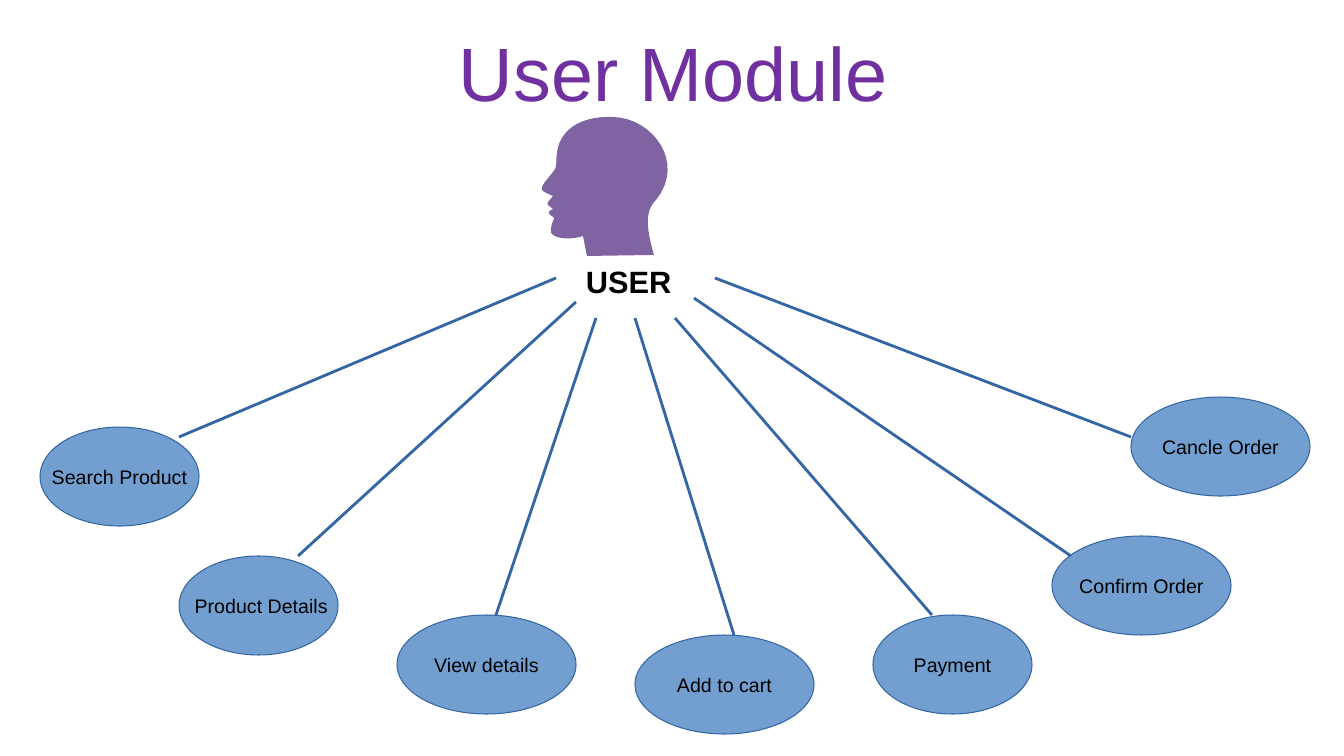
"""Build the User Module slide: a user and the seven actions around it."""
from dataclasses import dataclass

from lxml.etree import SubElement
from pptx import Presentation
from pptx.dml.color import RGBColor as Rgb
from pptx.enum.shapes import MSO_CONNECTOR as Link, MSO_SHAPE as Kind
from pptx.enum.text import MSO_ANCHOR as Anchor, PP_ALIGN as Align
from pptx.oxml.ns import qn
from pptx.util import Emu, Pt

TITLE = ("User Module", (35, 37, 1276, 80))
USER = ("USER", (576, 258, 178, 44))

ACTIONS = [
    ("Search Product", (40, 427, 159), (556, 278), (179, 437)),
    (" Product Details", (179, 556, 159), (576, 302), (298, 556)),
    ("View details", (397, 615, 179), (596, 318), (496, 615)),
    ("Add to cart", (635, 635, 179), (635, 318), (734, 635)),
    ("Payment", (873, 615, 159), (675, 318), (932, 615)),
    ("Confirm Order", (1052, 536, 179), (694, 298), (1071, 556)),
    ("Cancle Order", (1131, 397, 179), (715, 278), (1131, 437)),
]
NODE_H = 99

HEAD_TOP = (613, 117)
HEAD = [
    [(585, 116), (566, 126), (559, 144)],
    [(554, 160), (559, 165), (553, 172)],
    [(547, 180), (541, 185), (542, 190)],
    [(544, 192), (548, 194), (553, 196)],
    [(551, 199), (546, 203), (548, 205)],
    [(553, 209)],
    [(552, 210), (549, 210), (549, 213)],
    [(550, 216), (555, 217), (554, 219)],
    [(551, 225), (550, 232), (552, 234)],
    [(557, 239), (571, 240), (583, 236)],
    [(587, 256)],
    [(654, 255)],
    [(645, 224), (646, 210), (656, 200)],
    [(686, 163), (653, 118), (613, 117)],
]
STEPS = 16


@dataclass(frozen=True)
class Theme:
    """Hold the colours, font and type sizes."""
    font: str = "Arial"
    title: str = "7030A0"
    head: str = "8064A2"
    node: str = "729FCF"
    line: str = "3465A4"
    ink: str = "000000"
    big: int = 54
    mid: int = 22
    small: int = 14


LOOK = Theme()


def px(n):
    """Turn px into EMU."""
    return Emu(round(n * 914400 / 100.8))


def write(shape, text, size, color, align, bold=False):
    """Put one styled paragraph into a shape and return it."""
    para = shape.text_frame.paragraphs[0]
    para.text = text
    para.alignment = align
    font = para.font
    font.name, font.size, font.bold = LOOK.font, Pt(size), bold
    font.color.rgb = Rgb.from_string(color)
    return para


def paint(shape, color):
    """Give a shape a plain fill and no shadow."""
    shape.shadow.inherit = False
    shape.fill.solid()
    shape.fill.fore_color.rgb = Rgb.from_string(color)


def edge(item):
    """Give a shape or connector the hairline."""
    item.line.color.rgb = Rgb.from_string(LOOK.line)
    item.line.width = Pt(0)


def add_label(shapes, box):
    """Add a wrapping text box."""
    label = shapes.add_textbox(*map(px, box))
    label.text_frame.word_wrap = True
    return label


def bend(start, a, b, end):
    """Sample a cubic curve after its start point."""
    for i in range(1, STEPS + 1):
        t = i / STEPS
        s = 1 - t
        yield tuple(s**3 * p + 3 * s * s * t * q + 3 * s * t * t * r + t**3 * e
                    for p, q, r, e in zip(start, a, b, end))


def add_head(shapes):
    """Draw the head in profile."""
    spots, last = [], HEAD_TOP
    for part in HEAD:
        spots += bend(last, *part) if len(part) == 3 else part
        last = part[-1]
    pen = shapes.build_freeform(*map(px, HEAD_TOP), scale=1.0)
    pen.add_line_segments([(px(x), px(y)) for x, y in spots], close=True)
    head = pen.convert_to_shape()
    paint(head, LOOK.head)
    head.line.fill.background()


def add_spoke(shapes, start, end):
    """Draw a line from the user to an action."""
    spoke = shapes.add_connector(Link.STRAIGHT, *map(px, start + end))
    edge(spoke)
    SubElement(spoke.element.spPr, qn("a:effectLst"))


def add_node(shapes, text, spot):
    """Draw the oval of an action."""
    x, y, w = spot
    node = shapes.add_shape(Kind.FLOWCHART_CONNECTOR, *map(px, (x, y, w, NODE_H)))
    paint(node, LOOK.node)
    edge(node)
    node.text_frame.word_wrap = False
    node.text_frame.vertical_anchor = Anchor.MIDDLE
    write(node, text, LOOK.small, LOOK.ink, Align.CENTER)


def main():
    """Build and save the slide."""
    deck = Presentation()
    deck.slide_width, deck.slide_height = px(1344), px(756)
    shapes = deck.slides.add_slide(deck.slide_layouts[6]).shapes

    text, box = TITLE
    title = add_label(shapes, box)
    title.text_frame.vertical_anchor = Anchor.MIDDLE
    para = write(title, text, LOOK.big, LOOK.title, Align.CENTER)
    para.line_spacing, para.space_before = 0.9, Pt(10)

    add_head(shapes)
    text, box = USER
    write(add_label(shapes, box), text, LOOK.mid, LOOK.ink, Align.LEFT, True)

    for text, spot, start, end in ACTIONS:
        add_node(shapes, text, spot)
        add_spoke(shapes, start, end)
    deck.save("out.pptx")


if __name__ == "__main__":
    main()
